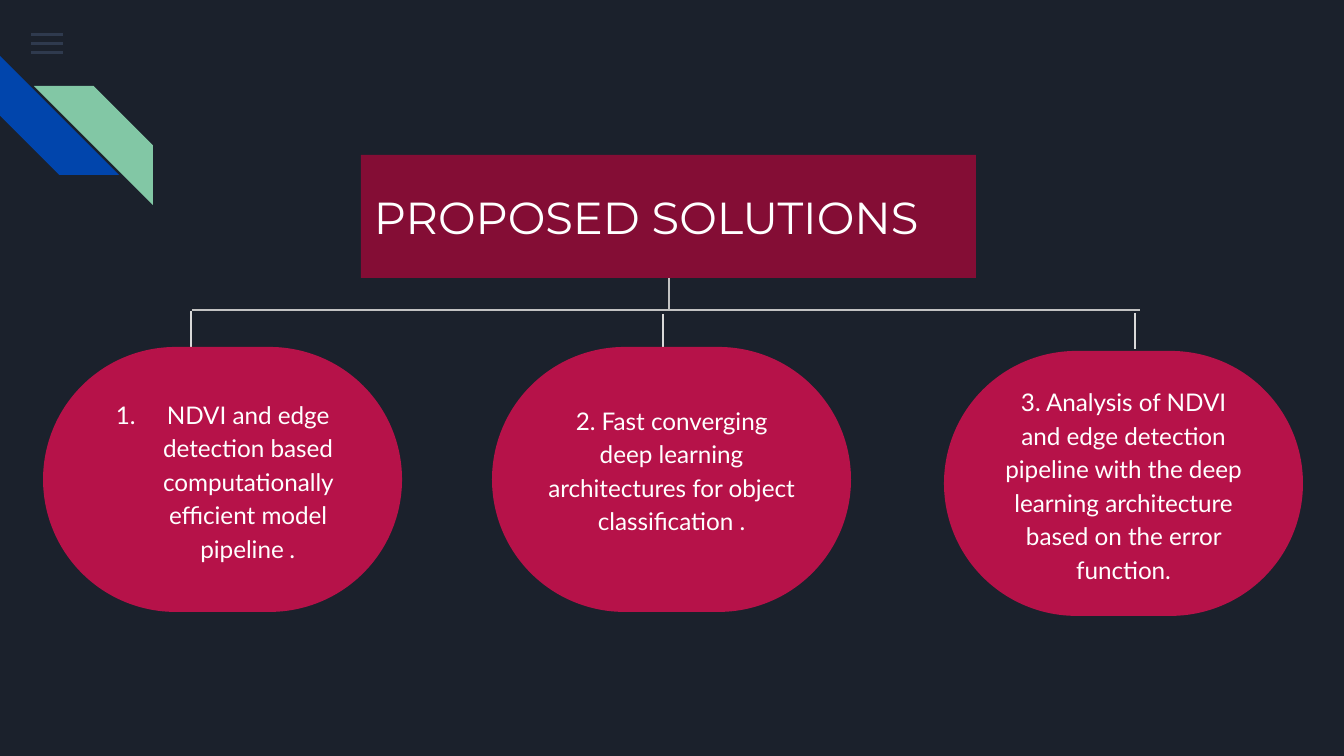
from copy import deepcopy
from dataclasses import dataclass

from pptx import Presentation
from pptx import util as u
from pptx.dml.color import RGBColor
from pptx.enum import shapes, text
from pptx.oxml import parse_xml
from pptx.oxml.ns import nsdecls, qn

PX = 9144000 / 1344  # EMU per pixel


@dataclass(frozen=True)
class Theme:
    background: str = "1B212C"
    menu: str = "55688B"
    blue: str = "0145AC"
    green: str = "82C7A5"
    title_fill: str = "840D35"
    card_fill: str = "B61249"
    text: str = "FFFFFF"
    branch: str = "C2C2C2"
    drop: str = "D9D9D9"
    title_font: str = "Montserrat"
    body_font: str = "Lato"
    title_size: int = 24
    body_size: int = 13


THEME = Theme()


def px(value):
    return u.Emu(round(value * PX))


def box_px(box):
    return [px(value) for value in box]


def apply_format(target, values):
    for name, value in values.items():
        setattr(target, name, value)


def format_run(run, font, size, italic=None):
    apply_format(run.font, {"name": font, "size": u.Pt(size), "italic": italic})
    run.font.color.rgb = RGBColor.from_string(THEME.text)


def format_frame(frame, left=13, right=13, top=13, bottom=13):
    apply_format(frame, {
        "word_wrap": True,
        "auto_size": text.MSO_AUTO_SIZE.NONE,
        "vertical_anchor": text.MSO_ANCHOR.MIDDLE,
        "margin_left": px(left), "margin_right": px(right),
        "margin_top": px(top), "margin_bottom": px(bottom),
    })


def fill_shape(shape, color):
    shape.fill.solid()
    shape.fill.fore_color.rgb = RGBColor.from_string(color)
    shape.line.fill.background()


def add_shape(slide, kind, box, color):
    shape = slide.shapes.add_shape(kind, *box_px(box))
    shape.shadow.inherit = False
    fill_shape(shape, color)
    return shape


def add_line(slide, start, end, color):
    line = slide.shapes.add_connector(
        shapes.MSO_CONNECTOR.STRAIGHT, *box_px(start + end))
    line.line.color.rgb = RGBColor.from_string(color)
    line.line.width = u.Pt(0.75)
    line.element.spPr.append(parse_xml(f"<a:effectLst {nsdecls('a')}/>"))


def add_menu_icon(slide, left, top, width):
    """Three faint bars."""
    for row in range(3):
        bar = add_shape(slide, shapes.MSO_SHAPE.RECTANGLE,
                        (left, top + 9 * row, width, 3), THEME.menu)
        color = bar.element.spPr.find(".//" + qn("a:srgbClr"))
        color.append(parse_xml(f'<a:alpha {nsdecls("a")} val="36000"/>'))


def add_corner_stripes(slide, left, top, size):
    """Two diagonal stripes, the second offset and mirrored."""
    kind = shapes.MSO_SHAPE.DIAGONAL_STRIPE
    blue = add_shape(slide, kind, (left, top, size, size), THEME.blue)
    blue.rotation = 270
    green = add_shape(slide, kind, (left + 34, top + 30, size, size), THEME.green)
    green.element.spPr.xfrm.set("flipH", "1")
    for stripe in (blue, green):
        stripe.adjustments[0] = 0.5


def place_title(slide, box, wording):
    """Title placeholder shaped as a pill."""
    title = slide.shapes.title
    apply_format(title, dict(zip(("left", "top", "width", "height"), box_px(box))))
    title.element.spPr.append(parse_xml(
        f'<a:prstGeom {nsdecls("a")} prst="roundRect"><a:avLst>'
        '<a:gd name="adj" fmla="val 50000"/></a:avLst></a:prstGeom>'))
    fill_shape(title, THEME.title_fill)
    format_frame(title.text_frame)
    paragraph = title.text_frame.paragraphs[0]
    paragraph.text = wording
    paragraph.alignment = text.PP_ALIGN.LEFT
    format_run(paragraph.runs[0], THEME.title_font, THEME.title_size)


def number_paragraph(paragraph, indent):
    properties = paragraph._p.get_or_add_pPr()
    properties.set("marL", str(px(indent)))
    properties.set("indent", str(-px(indent)))
    for xml in (f'<a:buClr {nsdecls("a")}><a:srgbClr val="{THEME.text}"/></a:buClr>',
                f'<a:buAutoNum {nsdecls("a")} type="arabicPeriod"/>'):
        properties.append(parse_xml(xml))


def add_card(slide, box, wording, numbered=False, ending="", **margins):
    """Pill card holding one proposed solution."""
    card = add_shape(slide, shapes.MSO_SHAPE.ROUNDED_RECTANGLE, box, THEME.card_fill)
    card.adjustments[0] = 0.5
    format_frame(card.text_frame, **margins)
    paragraph = card.text_frame.paragraphs[0]
    paragraph.text = wording
    if numbered:
        number_paragraph(paragraph, 51)
    apply_format(paragraph, {"alignment": text.PP_ALIGN.CENTER, "line_spacing": 1.15})
    for run in paragraph.runs:
        format_run(run, THEME.body_font, THEME.body_size)
    # Line breaks take the size of the text around them
    for line_break in paragraph._p.findall(qn("a:br")):
        line_break.append(deepcopy(paragraph.runs[0]._r.rPr))
    if ending:
        run = paragraph.add_run()
        run.text = ending
        format_run(run, THEME.body_font, THEME.body_size, italic=True)


def add_branches(slide, stem_x, top, rail_y, left, right, drops):
    """Stem, rail and one drop line for each card."""
    for start, end in (((stem_x, top), (stem_x, rail_y)),
                       ((left, rail_y), (stem_x, rail_y)),
                       ((stem_x, rail_y), (right, rail_y))):
        add_line(slide, start, end, THEME.branch)
    for x, drop_top, drop_bottom in drops:
        add_line(slide, (x, drop_top), (x, drop_bottom), THEME.drop)


def build_solutions_slide(presentation):
    slide = presentation.slides.add_slide(presentation.slide_layouts[5])
    slide.background.fill.solid()
    slide.background.fill.fore_color.rgb = RGBColor.from_string(THEME.background)

    add_menu_icon(slide, 31, 33, 32)
    add_corner_stripes(slide, 0, 56, 119)
    place_title(slide, (361, 155, 615, 123), "PROPOSED SOLUTIONS")
    add_branches(slide, 669, 278, 310, 192, 1140,
                 [(191, 311, 347), (663, 314, 349), (1135, 313, 349)])

    card_size = (359, 265)
    add_card(slide, (43, 347, *card_size),
             "NDVI and edge detection based computationally efficient model pipeline ",
             numbered=True, ending=".")
    add_card(slide, (492, 347, *card_size),
             "2. Fast converging\vdeep learning architectures for object classification .",
             bottom=35)
    add_card(slide, (944, 351, *card_size),
             "3. Analysis of NDVI and edge detection pipeline with the deep learning "
             "architecture based on the error function.", left=20, right=20)


def main():
    presentation = Presentation()
    apply_format(presentation, {"slide_width": px(1344), "slide_height": px(756)})
    build_solutions_slide(presentation)
    presentation.save("out.pptx")


if __name__ == "__main__":
    main()
